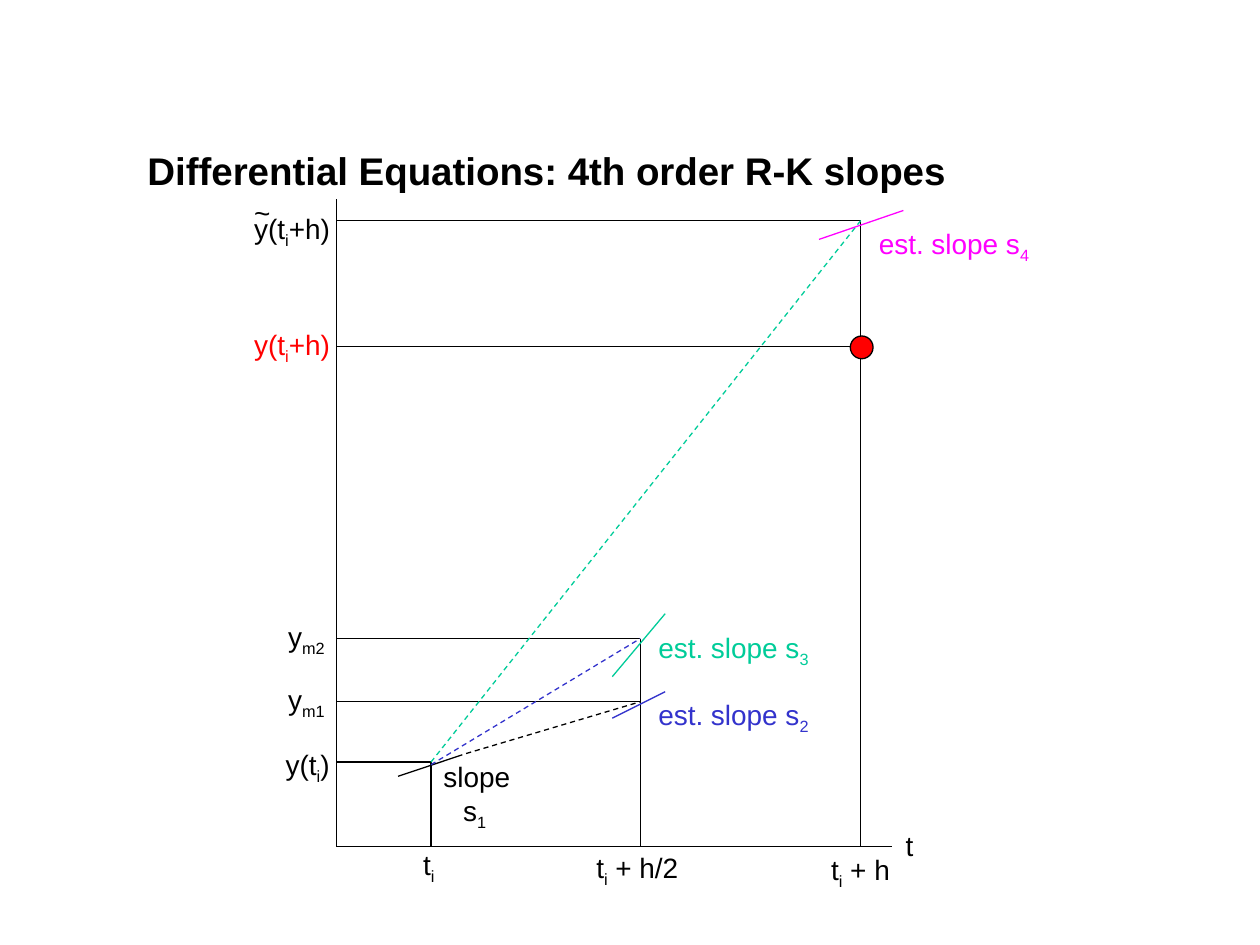
from lxml import etree
from pptx import Presentation
from pptx.dml.color import RGBColor
from pptx.enum.dml import MSO_LINE
from pptx.enum.shapes import MSO_CONNECTOR, MSO_SHAPE
from pptx.enum.text import MSO_ANCHOR, MSO_AUTO_SIZE, PP_ALIGN
from pptx.oxml.ns import qn
from pptx.util import Pt

BLACK, RED, BLUE, GREEN, PINK = "000000", "FF0000", "3333CC", "00CC99", "FF00FF"
START, MID, END = 54.1, 173.7, 299.7
Y_TILDE, Y_NEXT, Y_M2, Y_M1, Y_START = 12.2, 84.2, 251.1, 287.2, 321.7


def rgb(color):
    """Turn a hex string into a colour."""
    return RGBColor.from_string(color)


def add_text(s, text, x, y, w, h, size=16, color=BLACK, bold=False,
             align=PP_ALIGN.LEFT, anchor=MSO_ANCHOR.TOP, wrap=False):
    """Add a text box in which underscores enclose subscripts."""
    tf = s.shapes.add_textbox(Pt(x), Pt(y), Pt(w), Pt(h)).text_frame
    tf.word_wrap = wrap
    tf.auto_size = MSO_AUTO_SIZE.NONE if wrap else MSO_AUTO_SIZE.SHAPE_TO_FIT_TEXT
    tf.vertical_anchor = anchor
    for n, line in enumerate(text.split("\n")):
        p = tf.add_paragraph() if n else tf.paragraphs[0]
        p.alignment = align
        for i, part in enumerate(line.split("_")):
            if not part:
                continue
            r = p.add_run()
            r.text = part
            r.font.name, r.font.size, r.font.bold = "Arial", Pt(size), bold
            r.font.color.rgb = rgb(color)
            if i % 2:
                r._r.get_or_add_rPr().set("baseline", "-25000")


def add_line(s, x1, y1, x2, y2, color=BLACK, dashed=False):
    """Add a thin straight line."""
    c = s.shapes.add_connector(MSO_CONNECTOR.STRAIGHT, Pt(x1), Pt(y1), Pt(x2), Pt(y2))
    c.line.width = Pt(0.75)
    c.line.color.rgb = rgb(color)
    if dashed:
        c.line.dash_style = MSO_LINE.DASH
    etree.SubElement(c._element.spPr, qn("a:effectLst"))


def draw_title(s, x, y, w, h):
    """Place the slide title."""
    add_text(s, "Differential Equations: 4th order R-K slopes", x, y, w, h,
             size=22, bold=True, anchor=MSO_ANCHOR.BOTTOM, wrap=True)


def draw_lines(s, x, y, w, h):
    """Draw the axes, guides, slope marks and solution point."""
    lines = [(0, 0, 0, h), (0, h, w, h)]
    lines += [(t, top, t, h) for t, top in ((START, Y_START), (MID, Y_M2), (END, Y_TILDE))]
    lines += [(0, level, t, level) for level, t in (
        (Y_START, START), (Y_M1, MID), (Y_M2, MID), (Y_TILDE, END), (Y_NEXT, END))]
    lines += [
        (72, 317.5, 35.3, 329.8),
        (74.2, 316.8, MID, Y_M1, BLACK, True),
        (157.7, 296.6, 187.9, 281.5, BLUE),
        (START, Y_START + 1.5, MID, Y_M2, BLUE, True),
        (157.7, 272.9, 187.9, 236.9, GREEN),
        (START, Y_START, END, Y_TILDE, GREEN, True),
        (275.8, 23, 324, 6.5, PINK),
    ]
    for x1, y1, x2, y2, *style in lines:
        add_line(s, x + x1, y + y1, x + x2, y + y2, *style)
    d = 13
    sp = s.shapes.add_shape(MSO_SHAPE.OVAL, Pt(x + END + 0.5 - d / 2),
                            Pt(y + Y_NEXT + 0.5 - d / 2), Pt(d), Pt(d))
    sp.shadow.inherit = False
    sp.fill.solid()
    sp.fill.fore_color.rgb = rgb(RED)
    sp.line.color.rgb = rgb(BLACK)
    sp.line.width = Pt(0.75)


def draw_labels(s, x, y):
    """Label the axes, levels and slopes."""
    for text, dx, dy, w, h, color in (
        ("t", 318.2, 356.4, 18.7, 26.6, BLACK),
        ("t_i_", 42.5, 367.2, 20.9, 29.5, BLACK),
        ("t_i_ + h/2", 141.5, 368.6, 62, 29.5, BLACK),
        ("t_i_ + h", 275.7, 369.8, 49, 29.5, BLACK),
        ("y(t_i_)", -36, 309.6, 39.6, 29.5, BLACK),
        ("y_m1_", -34.6, 272.9, 35.3, 29.5, BLACK),
        ("y_m2_", -34.6, 236.9, 35.3, 29.5, BLACK),
        ("y(t_i_+h)", -54, 3.6, 57.6, 29.5, BLACK),
        ("~", -54, -5.8, 23.8, 26.6, BLACK),
        ("y(t_i_+h)", -54, 69.8, 57.6, 29.5, RED),
    ):
        add_text(s, text, x + dx, y + dy, w, h, color=color)
    for text, dx, dy, w, h, color in (
        ("slope\ns_1 _", 54, 316.8, 52.6, 48.2, BLACK),
        ("est. slope s_2 _", 176, 281.5, 104.4, 29.5, BLUE),
        ("est. slope s_3 _", 176, 242.9, 104.4, 29.5, GREEN),
        ("est. slope s_4 _", 302, 12.2, 104.4, 29.5, PINK),
    ):
        add_text(s, text, x + dx, y + dy, w, h, color=color, align=PP_ALIGN.CENTER)


def main():
    """Build and save the slide."""
    prs = Presentation()
    prs.slide_width, prs.slide_height = Pt(720), Pt(540)
    s = prs.slides.add_slide(prs.slide_layouts[6])
    draw_title(s, 77.2, 80.3, 546.5, 33.8)
    draw_lines(s, 192.2, 113.8, 317.5, 370)
    draw_labels(s, 192.2, 113.8)
    prs.save("out.pptx")


if __name__ == "__main__":
    main()
